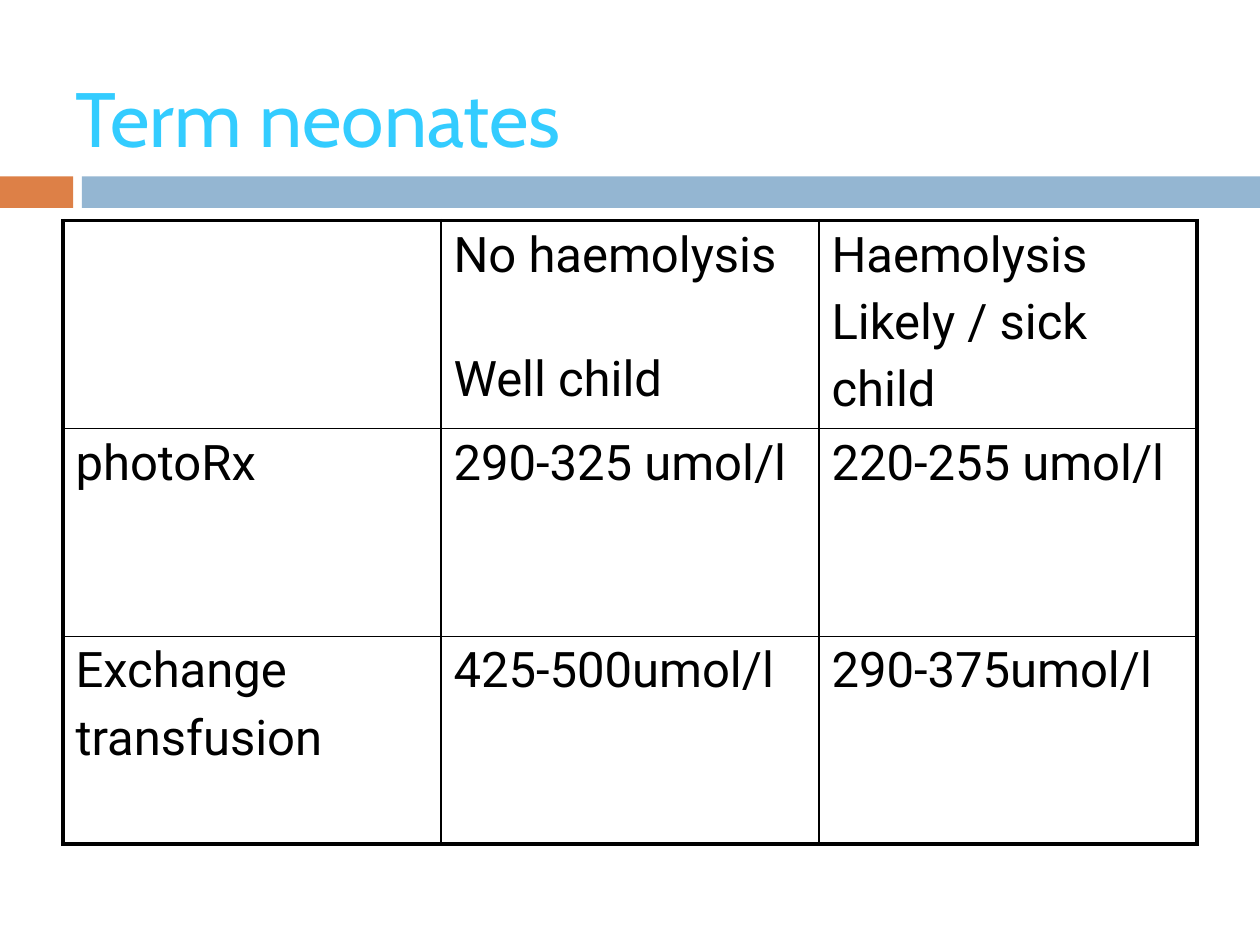
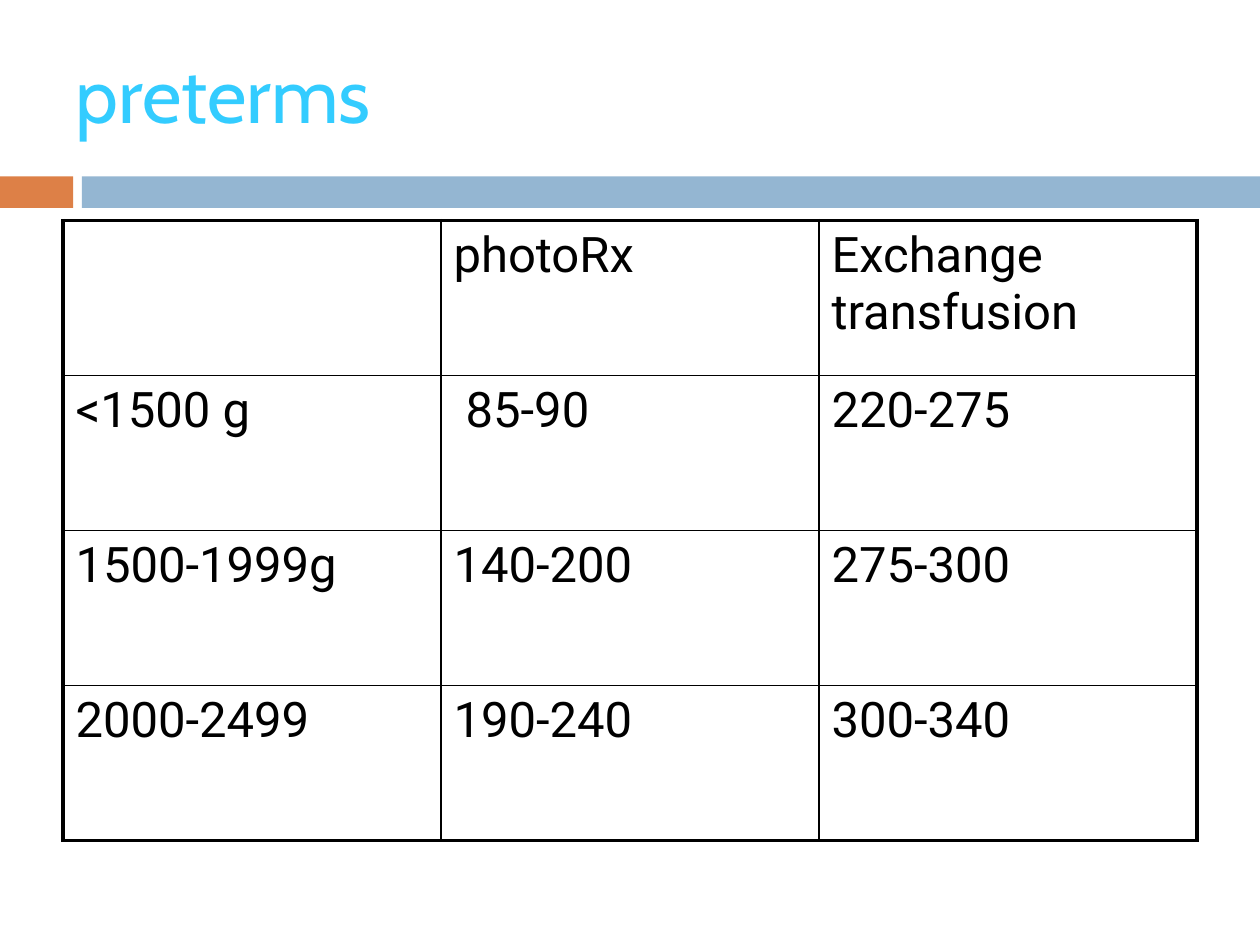
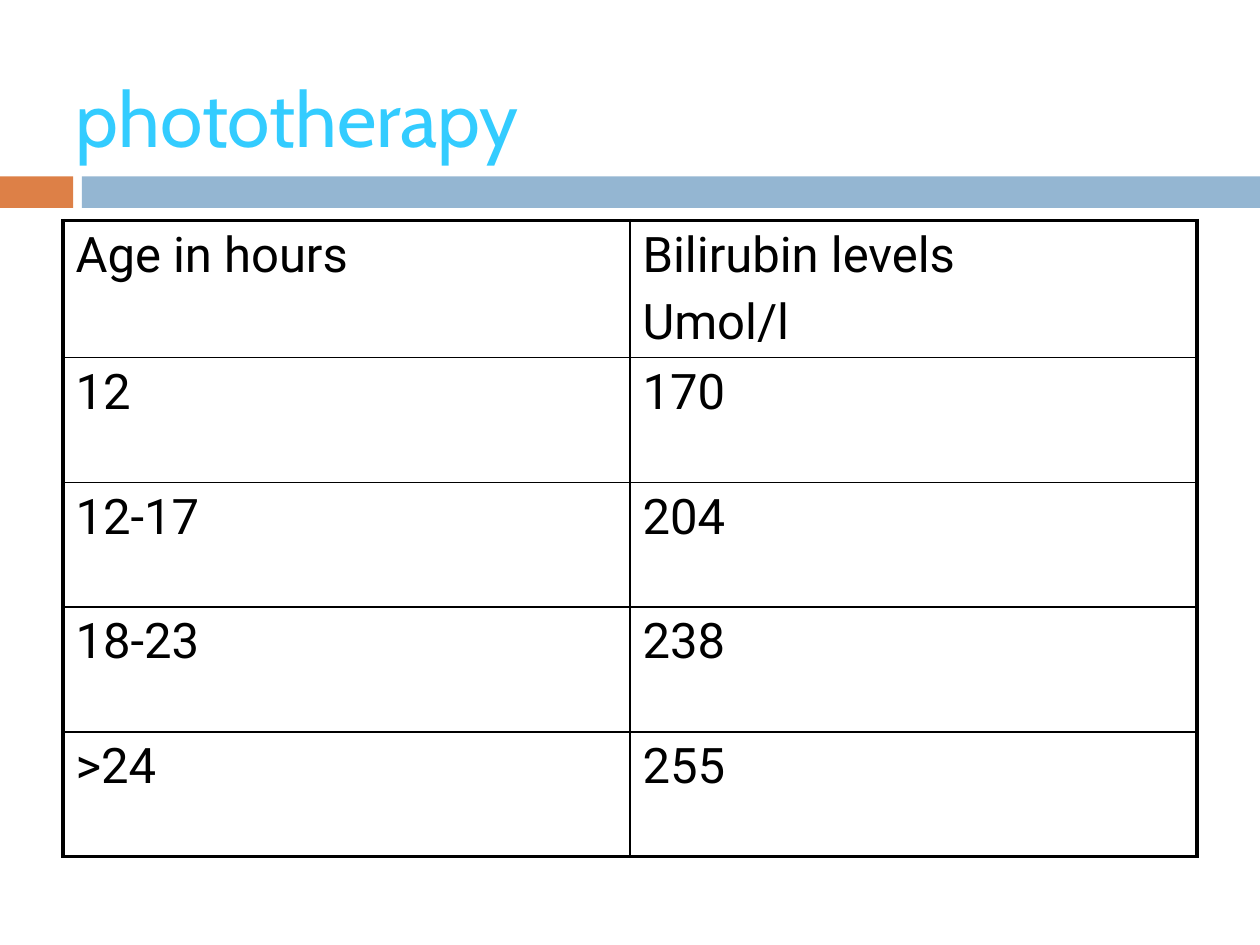
"""Build three slides of neonatal jaundice treatment thresholds."""
from dataclasses import dataclass
from typing import NamedTuple

from lxml.etree import SubElement
from pptx import Presentation
from pptx.dml.color import RGBColor
from pptx.enum.shapes import MSO_SHAPE
from pptx.enum.text import MSO_ANCHOR, MSO_AUTO_SIZE, PP_ALIGN
from pptx.oxml import parse_xml
from pptx.oxml.ns import nsdecls, qn
from pptx.util import Pt

COLORS = {"title": "33CCFF", "accent": "DD8047", "band": "94B6D2", "ink": "000000"}
TITLE_FONT, BODY_FONT = "Cabin", "Roboto"
TITLE_SIZE, BODY_SIZE = 44, 28
LEFT, WIDTH = 36, 648
TITLE_TOP, TABLE_TOP = 21.6, 126
BAND_TOP, BAND_HEIGHT = 100.8, 18
FRAME_WIDTH, GRID_WIDTH = 2.25, 1
LINE_GAP, WIDE_GAP = 5.6, 38.4


class Band(NamedTuple):
    left: float
    width: float
    color: str


@dataclass
class Sheet:
    title: str
    rows: list[tuple[str, ...]]
    header_height: float
    row_height: float
    title_height: float = 90
    wide_gap_before: str = ""


BANDS = [Band(0, 41.8, "accent"), Band(46.8, 673.2, "band")]

SHEETS = [
    Sheet(
        "Term neonates",
        [
            ("", "No haemolysis\nWell child", "Haemolysis\nLikely / sick\nchild"),
            ("photoRx", "290-325 umol/l", "220-255 umol/l"),
            ("Exchange\ntransfusion", "425-500umol/l", "290-375umol/l"),
        ],
        header_height=118.8,
        row_height=118.8,
        wide_gap_before="Well child",
    ),
    Sheet(
        "preterms",
        [
            ("", "photoRx", "Exchange transfusion"),
            ("<1500 g", " 85-90", "220-275"),
            ("1500-1999g", "140-200", "275-300"),
            ("2000-2499", "190-240", "300-340"),
        ],
        header_height=88.6,
        row_height=88.6,
        title_height=62.6,
    ),
    Sheet(
        "phototherapy",
        [
            ("Age in hours", "Bilirubin levels\nUmol/l"),
            ("12", "170"),
            ("12-17", "204"),
            ("18-23", "238"),
            (">24", "255"),
        ],
        header_height=78.4,
        row_height=71.3,
    ),
]


def style_font(font, name: str, size: float, color: str) -> None:
    font.name = name
    font.size = Pt(size)
    font.color.rgb = RGBColor.from_string(COLORS[color])


def move_bands_to_layout(page, layout) -> None:
    for placeholder in list(layout.placeholders)[1:]:
        layout.shapes.element.remove(placeholder.element)
    for band in BANDS:
        box = page.shapes.add_shape(
            MSO_SHAPE.RECTANGLE, Pt(band.left), Pt(BAND_TOP), Pt(band.width), Pt(BAND_HEIGHT)
        )
        box.shadow.inherit = False
        box.fill.solid()
        box.fill.fore_color.rgb = RGBColor.from_string(COLORS[band.color])
        box.line.fill.background()
        layout.shapes.element.append(box.element)


def draw_title(page, sheet: Sheet) -> None:
    box = page.shapes.title
    box.left, box.top = Pt(LEFT), Pt(TITLE_TOP)
    box.width, box.height = Pt(WIDTH), Pt(sheet.title_height)
    frame = box.text_frame
    frame.text = sheet.title
    frame.auto_size = MSO_AUTO_SIZE.NONE
    frame.vertical_anchor = MSO_ANCHOR.MIDDLE
    para = frame.paragraphs[0]
    para.alignment = PP_ALIGN.LEFT
    style_font(para.runs[0].font, TITLE_FONT, TITLE_SIZE, "title")


def set_borders(cell, widths: dict[str, float]) -> None:
    properties = cell._tc.get_or_add_tcPr()
    for position, (side, width) in enumerate(widths.items()):
        line = parse_xml(f'<a:ln{side} {nsdecls("a")} w="{Pt(width)}"/>')
        fill = SubElement(line, qn("a:solidFill"))
        SubElement(fill, qn("a:srgbClr"), val=COLORS["ink"])
        properties.insert(position, line)


def fill_cell(cell, text: str, wide_gap_before: str) -> None:
    cell.fill.background()
    cell.text_frame.text = text
    for index, para in enumerate(cell.text_frame.paragraphs):
        if index:
            para.space_before = Pt(WIDE_GAP if para.text == wide_gap_before else LINE_GAP)
        for span in para.runs:
            style_font(span.font, BODY_FONT, BODY_SIZE, "ink")


def draw_table(page, sheet: Sheet) -> None:
    row_count, column_count = len(sheet.rows), len(sheet.rows[0])
    heights = [sheet.header_height] + [sheet.row_height] * (row_count - 1)
    table = page.shapes.add_table(
        row_count, column_count, Pt(LEFT), Pt(TABLE_TOP), Pt(WIDTH), Pt(sum(heights))
    ).table
    table.first_row = table.horz_banding = False
    for column in table.columns:
        column.width = Pt(WIDTH / column_count)
    for r, (height, texts) in enumerate(zip(heights, sheet.rows)):
        table.rows[r].height = Pt(height)
        for c, text in enumerate(texts):
            cell = table.cell(r, c)
            fill_cell(cell, text, sheet.wide_gap_before)
            on_frame = {
                "L": c == 0,
                "R": c == column_count - 1,
                "T": r == 0,
                "B": r == row_count - 1,
            }
            set_borders(
                cell, {side: FRAME_WIDTH if outer else GRID_WIDTH for side, outer in on_frame.items()}
            )


def main() -> None:
    deck = Presentation()
    deck.slide_width, deck.slide_height = Pt(720), Pt(540)
    layout = deck.slide_layouts.get_by_name("Title Only")
    pages = [deck.slides.add_slide(layout) for _ in SHEETS]
    move_bands_to_layout(pages[0], layout)
    for page, sheet in zip(pages, SHEETS):
        draw_title(page, sheet)
        draw_table(page, sheet)
    deck.save("out.pptx")


if __name__ == "__main__":
    main()
